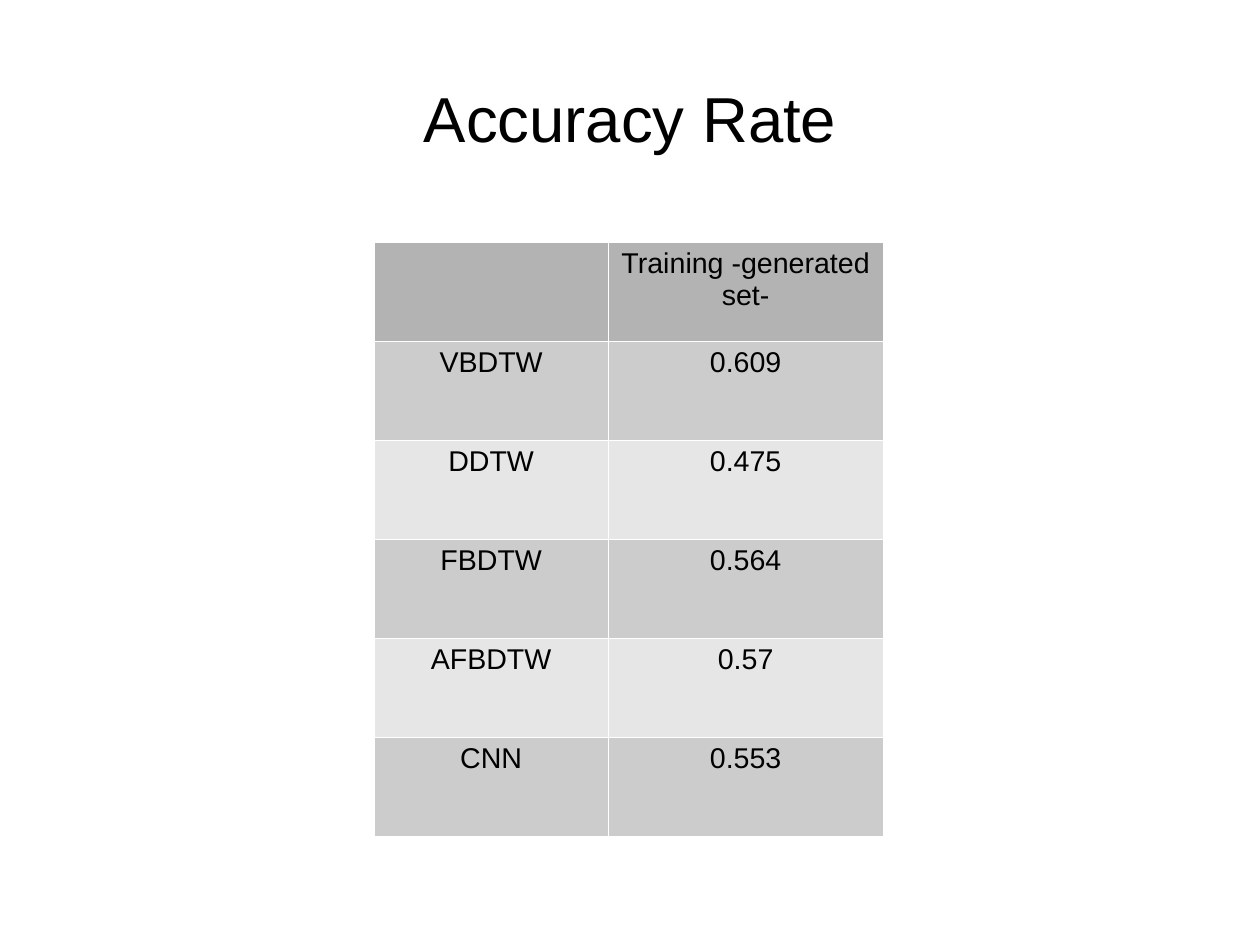
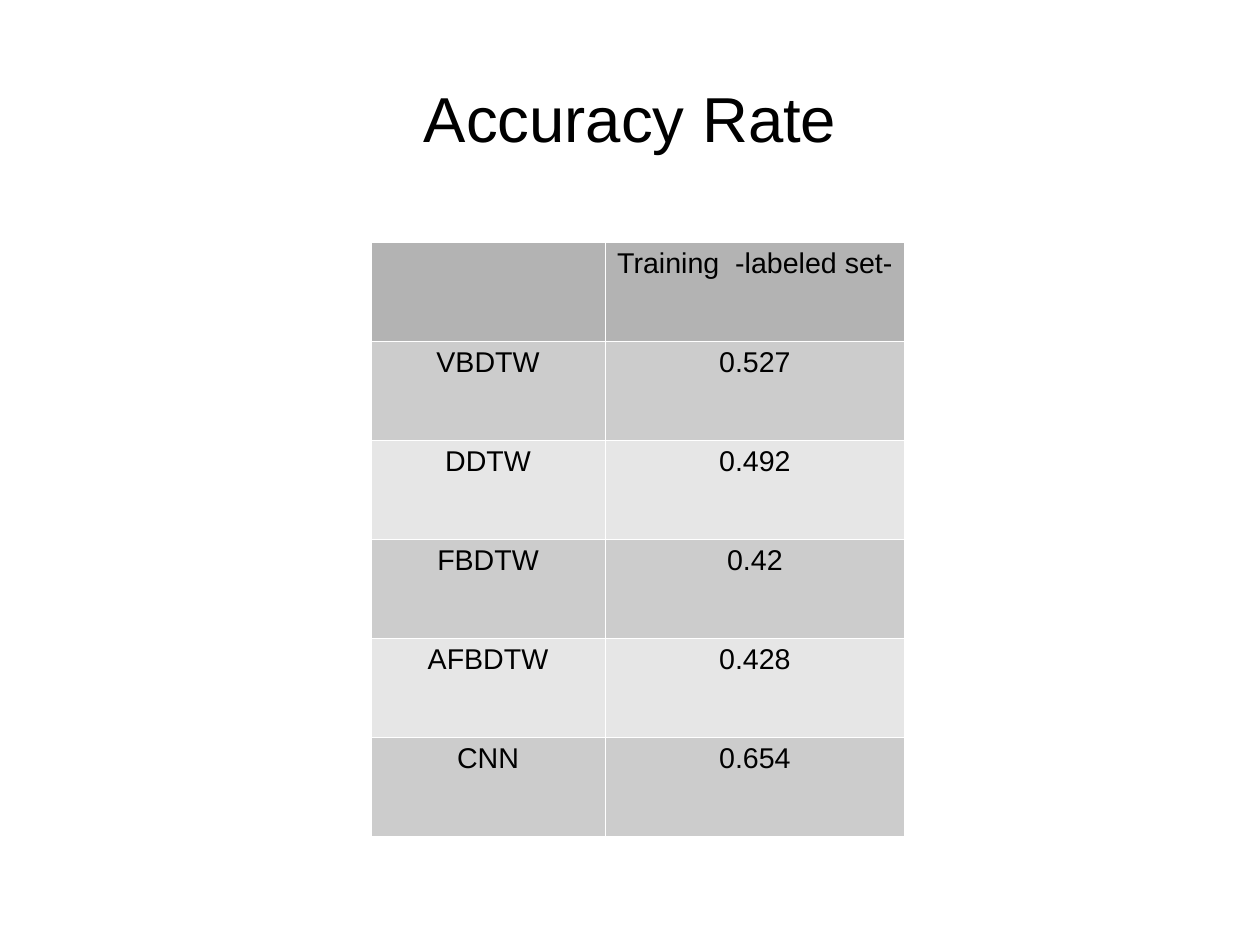
from lxml import etree
from pptx import Presentation
from pptx.dml.color import RGBColor
from pptx.enum.text import MSO_ANCHOR, MSO_AUTO_SIZE, PP_ALIGN
from pptx.oxml.ns import qn
from pptx.util import Cm, Pt

CENTER = PP_ALIGN.CENTER
MIDDLE = MSO_ANCHOR.MIDDLE
FIXED = MSO_AUTO_SIZE.NONE

BLACK = RGBColor(0x00, 0x00, 0x00)
WHITE = RGBColor(0xFF, 0xFF, 0xFF)
HEAD = RGBColor(0xB3, 0xB3, 0xB3)
BANDS = (RGBColor(0xCC, 0xCC, 0xCC), RGBColor(0xE6, 0xE6, 0xE6))

METHODS = ("VBDTW", "DDTW", "FBDTW", "AFBDTW", "CNN")
RATES = (
    ("Training -generated set-", 8.31, 6.1,
     ("0.609", "0.475", "0.564", "0.57", "0.553")),
    ("Training  -labeled set-", 8.24, 6.65,
     ("0.527", "0.492", "0.42", "0.428", "0.654")),
)


class Deck:
    font = "Arial"
    top = 5.37
    row = 2.2
    first = 5.21

    def __init__(self):
        self.prs = Presentation()
        self.prs.slide_width = Cm(28)
        self.prs.slide_height = Cm(21)
        self.slide = None

    def style(self, para, size):
        para.alignment = CENTER
        for run in para.runs:
            run.font.name = self.font
            run.font.size = Pt(size)
            run.font.color.rgb = BLACK

    def add(self, text):
        self.slide = self.prs.slides.add_slide(self.prs.slide_layouts[5])
        title = self.slide.shapes.title
        title.left, title.top = Cm(1.4), Cm(0.84)
        title.width, title.height = Cm(25.2), Cm(3.51)
        frame = title.text_frame
        frame.text = text
        frame.word_wrap = True
        frame.auto_size = FIXED
        frame.vertical_anchor = MIDDLE
        frame.margin_left = frame.margin_right = 0
        frame.margin_top = frame.margin_bottom = 0
        self.style(frame.paragraphs[0], 40)

    def edge(self, cell):
        props = cell._tc.get_or_add_tcPr()
        for spot, side in enumerate(("lnL", "lnR", "lnT", "lnB")):
            line = etree.Element(qn("a:" + side), w=str(Pt(0.06)))
            fill = etree.SubElement(line, qn("a:solidFill"))
            etree.SubElement(fill, qn("a:srgbClr"), val=str(WHITE))
            props.insert(spot, line)

    def cell(self, cell, text, fill):
        cell.text_frame.text = text
        self.style(cell.text_frame.paragraphs[0], 18)
        cell.fill.solid()
        cell.fill.fore_color.rgb = fill
        self.edge(cell)

    def table(self, rows, left, last):
        table = self.slide.shapes.add_table(
            len(rows), 2, Cm(left), Cm(self.top),
            Cm(self.first + last), Cm(self.row * len(rows))).table
        table.first_row = table.horz_banding = False
        for col, width in zip(table.columns, (self.first, last)):
            col.width = Cm(width)
        for r, texts in enumerate(rows):
            table.rows[r].height = Cm(self.row)
            fill = BANDS[(r - 1) % 2] if r else HEAD
            for c, text in enumerate(texts):
                self.cell(table.cell(r, c), text, fill)


def main():
    deck = Deck()
    for head, left, last, rates in RATES:
        deck.add("Accuracy Rate")
        deck.table([("", head), *zip(METHODS, rates)], left, last)
    deck.prs.save("out.pptx")


if __name__ == "__main__":
    main()
